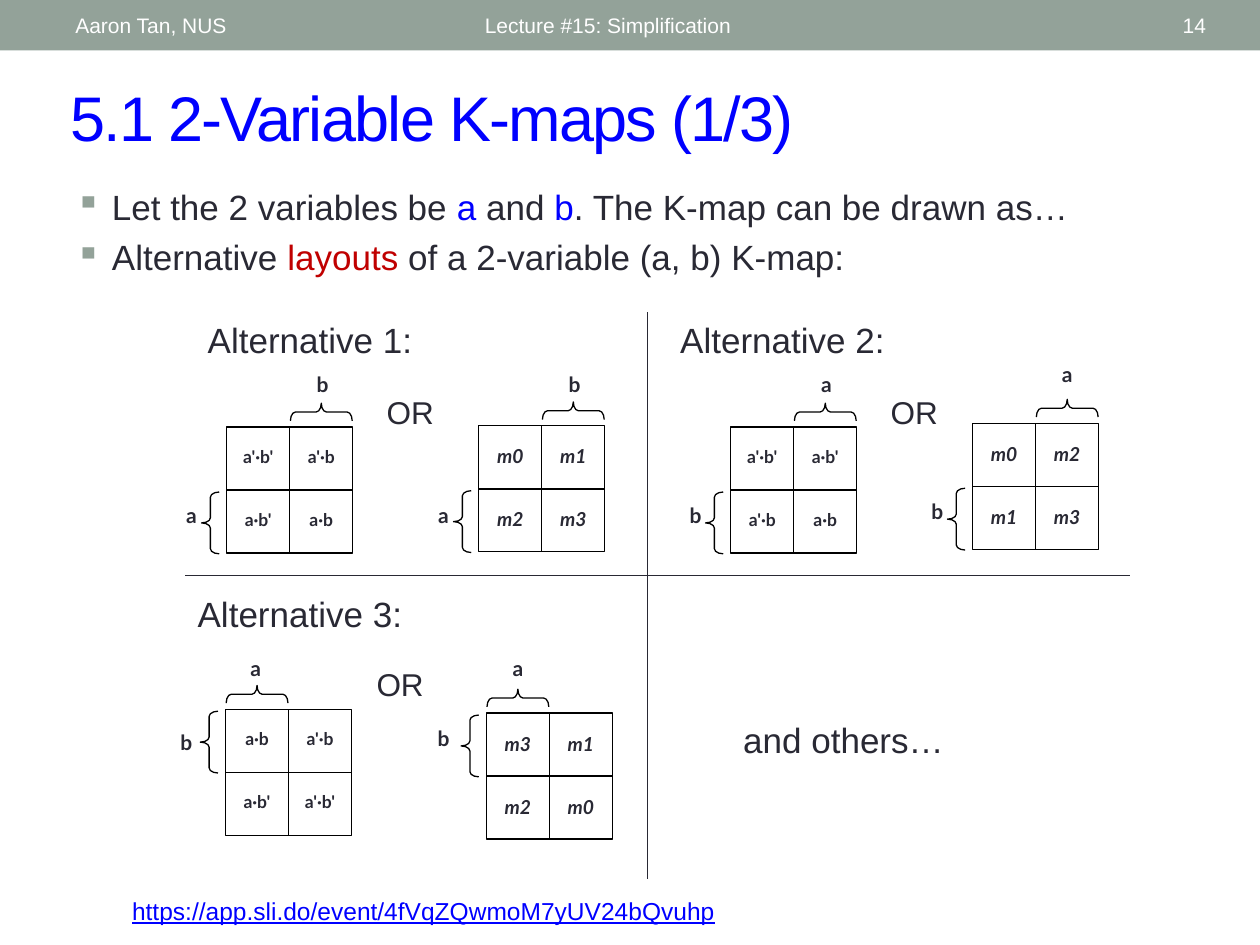
from itertools import product

from lxml import etree
from pptx import Presentation
from pptx.dml.color import RGBColor
from pptx.enum.shapes import MSO_CONNECTOR, MSO_SHAPE
from pptx.enum.text import MSO_ANCHOR, PP_ALIGN
from pptx.oxml.ns import qn
from pptx.util import Inches, Pt

COLORS = {
    "band": "93A299",
    "text": "292934",
    "blue": "0000FF",
    "red": "C00000",
    "white": "FFFFFF",
    "line": "000000",
}
CELL = 0.5
BRACE_WIDTH, BRACE_LENGTH = 0.14, 0.49

# Each map: left, top, cells by row, (side variable, left, top, row),
# (top variable, left, top, column)
PRODUCT_MAPS = [
    (1.8, 3.39, ["a'∙b'", "a'∙b", "a∙b'", "a∙b"], ("a", 1.3, 3.94, 1), ("b", 2.34, 2.9, 1)),
    (5.8, 3.39, ["a'∙b'", "a∙b'", "a'∙b", "a∙b"], ("b", 5.3, 3.94, 1), ("a", 6.34, 2.9, 1)),
    (1.79, 5.63, ["a∙b", "a'∙b", "a∙b'", "a'∙b'"], ("b", 1.26, 5.74, 0), ("a", 1.81, 5.15, 0)),
]
MINTERM_MAPS = [
    (3.8, 3.38, ["m0", "m1", "m2", "m3"], ("a", 3.3, 3.94, 1), ("b", 4.34, 2.9, 1)),
    (7.72, 3.36, ["m0", "m2", "m1", "m3"], ("b", 7.22, 3.91, 1), ("a", 8.25, 2.82, 1)),
    (3.86, 5.66, ["m3", "m1", "m2", "m0"], ("b", 3.3, 5.71, 0), ("a", 3.89, 5.15, 0)),
]
# text, left, top, width, size
CAPTIONS = [
    ("Alternative 1:", 1.55, 2.48, 1.95, 20),
    ("Alternative 2:", 5.3, 2.48, 1.95, 20),
    ("Alternative 3:", 1.47, 4.65, 1.95, 20),
    ("and others…", 5.8, 5.65, 1.85, 20),
    ("OR", 2.97, 3.07, 0.67, 18),
    ("OR", 6.97, 3.07, 0.67, 18),
    ("OR", 2.89, 5.23, 0.67, 18),
]
BULLETS = [
    [("Let the 2 variables be ", "text"), ("a", "blue"), (" and ", "text"),
     ("b", "blue"), (". The K-map can be drawn as…", "text")],
    [("Alternative ", "text"), ("layouts", "red"),
     (" of a 2-variable (a, b) K-map:", "text")],
]


def rgb(name):
    return RGBColor.from_string(COLORS[name])


def style_font(font, size, color="text", name="Arial", bold=False, italic=False):
    font.name = name
    font.size = Pt(size)
    font.color.rgb = rgb(color)
    font.bold = bold
    font.italic = italic


def add_box(page, left, top, width, height):
    box = page.shapes.add_textbox(*map(Inches, (left, top, width, height)))
    box.text_frame.word_wrap = True
    return box


def add_text(page, text, left, top, width, height, size, align=PP_ALIGN.LEFT,
             anchor=MSO_ANCHOR.TOP, **font):
    """Add a one-line text box and return its span of text."""
    frame = add_box(page, left, top, width, height).text_frame
    frame.text = text
    frame.vertical_anchor = anchor
    para = frame.paragraphs[0]
    para.alignment = align
    span = para.runs[0]
    style_font(span.font, size, **font)
    return span


def add_line(page, start, end, color="line"):
    line = page.shapes.add_connector(
        MSO_CONNECTOR.STRAIGHT, *map(Inches, (*start, *end)))
    line.line.color.rgb = rgb(color)
    line.line.width = Pt(0.75)
    etree.SubElement(line._element.spPr, qn("a:effectLst"))
    return line


def add_outline(page, kind, left, top, width, height):
    shape = page.shapes.add_shape(kind, *map(Inches, (left, top, width, height)))
    shape.shadow.inherit = False
    shape.fill.background()
    shape.line.color.rgb = rgb("line")
    shape.line.width = Pt(0.75)
    return shape


def add_brace(page, center_x, center_y, rotation=0):
    brace = add_outline(page, MSO_SHAPE.LEFT_BRACE, center_x - BRACE_WIDTH / 2,
                        center_y - BRACE_LENGTH / 2, BRACE_WIDTH, BRACE_LENGTH)
    brace.adjustments[0] = 0.288
    brace.rotation = rotation


def add_kmap(page, left, top, cells, side, head, **font):
    """Draw a 2 by 2 map with a brace and a variable on its side and top."""
    side_name, side_left, side_top, row = side
    head_name, head_left, head_top, column = head
    middle_x, middle_y = left + CELL, top + CELL
    right, bottom = left + 2 * CELL, top + 2 * CELL

    square = add_outline(page, MSO_SHAPE.RECTANGLE, left, top, 2 * CELL, 2 * CELL)
    dividers = [((left, middle_y), (right, middle_y), 1, 3),
                ((middle_x, top), (middle_x, bottom), 0, 2)]
    for start, end, first_side, last_side in dividers:
        line = add_line(page, start, end)
        line.begin_connect(square, first_side)
        line.end_connect(square, last_side)

    for text, (y, x) in zip(cells, product(range(2), repeat=2)):
        add_text(page, text, left + x * CELL, top + 0.1 + y * CELL, CELL, 0.4,
                 align=PP_ALIGN.CENTER, name="Lato", bold=True, **font)

    add_brace(page, left - 0.13, top + 0.26 + row * CELL)
    add_brace(page, left + 0.25 + column * CELL, top - 0.12, rotation=90)
    for name, x, y in ((side_name, side_left, side_top),
                       (head_name, head_left, head_top)):
        add_text(page, name, x, y, 0.44, 0.32, 12, align=PP_ALIGN.CENTER,
                 name="Lato", bold=True)


def add_header(page):
    band = page.shapes.add_shape(MSO_SHAPE.RECTANGLE, 0, 0, Inches(10), Inches(0.4))
    band.shadow.inherit = False
    band.fill.solid()
    band.fill.fore_color.rgb = rgb("band")
    band.line.fill.background()
    for text, left, width, align in (
            ("Aaron Tan, NUS", 0.5, 3.17, PP_ALIGN.LEFT),
            ("Lecture #15: Simplification", 3.75, 4.5, PP_ALIGN.LEFT),
            ("14", 8.72, 0.95, PP_ALIGN.RIGHT)):
        add_text(page, text, left, 0.02, width, 0.36, 12, align=align,
                 anchor=MSO_ANCHOR.MIDDLE, color="white")


def add_bullets(page):
    frame = add_box(page, 0.5, 1.42, 9, 1.5).text_frame
    for index, parts in enumerate(BULLETS):
        para = frame.add_paragraph() if index else frame.paragraphs[0]
        if index:
            para.space_before = Pt(5)
        properties = para._p.get_or_add_pPr()
        properties.set("marL", str(Inches(0.29)))
        properties.set("indent", str(-Inches(0.29)))
        bullet_color = etree.SubElement(properties, qn("a:buClr"))
        etree.SubElement(bullet_color, qn("a:srgbClr"), val=COLORS["band"])
        etree.SubElement(properties, qn("a:buChar"), char="▪")
        for text, color in parts:
            span = para.add_run()
            span.text = text
            style_font(span.font, 20, color)


def main():
    deck = Presentation()
    deck.slide_width, deck.slide_height = Inches(10), Inches(7.5)
    page = deck.slides.add_slide(deck.slide_layouts[6])

    add_header(page)
    title = add_text(page, "5.1 2-Variable K-maps (1/3)", 0.46, 0.57, 9.07, 0.7, 36,
                     anchor=MSO_ANCHOR.MIDDLE, color="blue")
    title.font._element.set("spc", "-100")
    add_bullets(page)

    for kmap in PRODUCT_MAPS:
        add_kmap(page, *kmap, size=10)
    for kmap in MINTERM_MAPS:
        add_kmap(page, *kmap, size=11, italic=True)
    for text, left, top, width, size in CAPTIONS:
        add_text(page, text, left, top, width, 0.4, size)

    add_line(page, (1.47, 4.57), (8.97, 4.57), "text")
    add_line(page, (5.14, 2.48), (5.14, 6.98), "text")
    link = add_text(page, "https://app.sli.do/event/4fVqZQwmoM7yUV24bQvuhp",
                    0.95, 7.06, 6.5, 0.34, 14, color="blue")
    link.font.underline = True
    deck.save("out.pptx")


if __name__ == "__main__":
    main()
